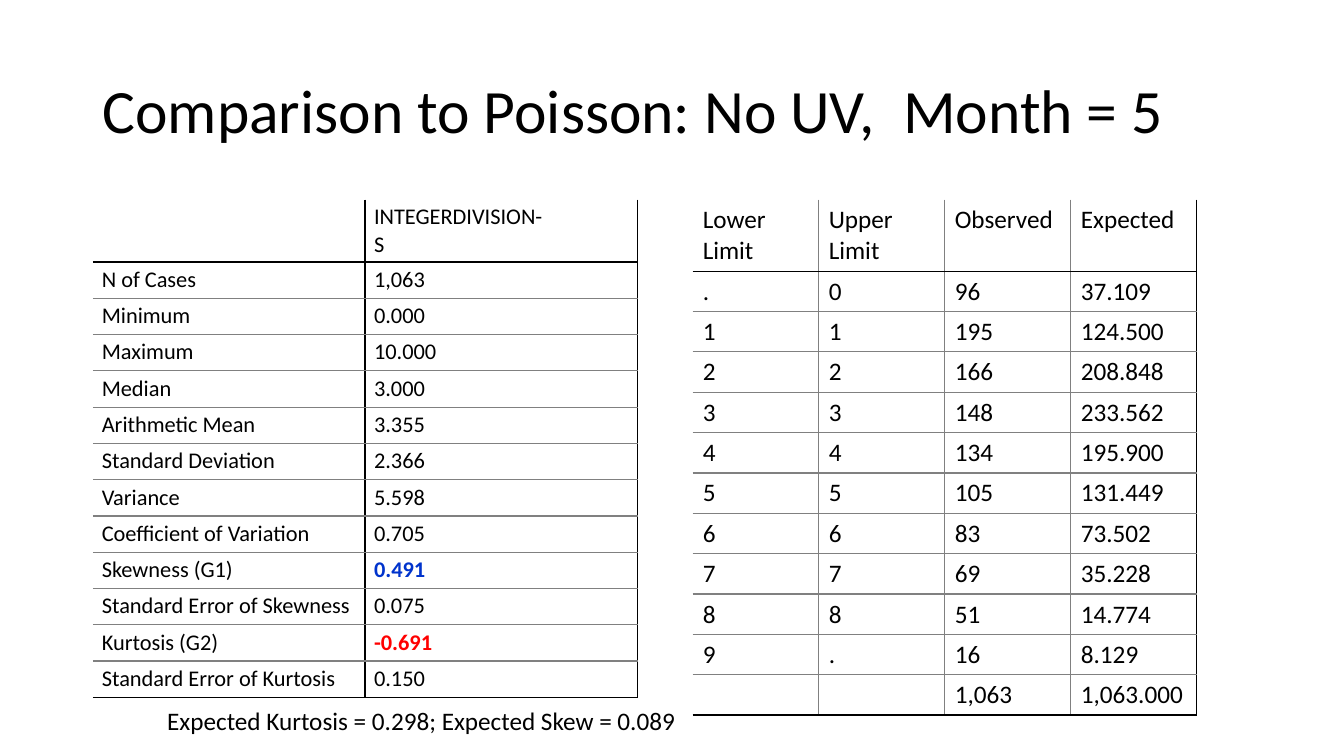
from pptx import Presentation
from pptx import util as u
from pptx.dml.color import RGBColor
from pptx.enum import text
from pptx.oxml import parse_xml
from pptx.oxml.ns import nsdecls

BLACK = RGBColor(0x00, 0x00, 0x00)
GRAY = RGBColor(0x80, 0x80, 0x80)
BLUE = RGBColor(0x00, 0x33, 0xCC)
RED = RGBColor(0xFF, 0x00, 0x00)

STATISTICS = [
    ("", "INTEGERDIVISION-\vS"),
    ("N of Cases", "1,063"),
    ("Minimum", "0.000"),
    ("Maximum", "10.000"),
    ("Median", "3.000"),
    ("Arithmetic Mean", "3.355"),
    ("Standard Deviation", "2.366"),
    ("Variance", "5.598"),
    ("Coefficient of Variation", "0.705"),
    ("Skewness (G1)", "0.491"),
    ("Standard Error of Skewness", "0.075"),
    ("Kurtosis (G2)", "-0.691"),
    ("Standard Error of Kurtosis", "0.150"),
]
HIGHLIGHTS = {"0.491": BLUE, "-0.691": RED}

FREQUENCIES = [
    ("Lower Limit", "Upper Limit", "Observed", "Expected"),
    (".", "0", "96", "37.109"),
    ("1", "1", "195", "124.500"),
    ("2", "2", "166", "208.848"),
    ("3", "3", "148", "233.562"),
    ("4", "4", "134", "195.900"),
    ("5", "5", "105", "131.449"),
    ("6", "6", "83", "73.502"),
    ("7", "7", "69", "35.228"),
    ("8", "8", "51", "14.774"),
    ("9", ".", "16", "8.129"),
    ("", "", "1,063", "1,063.000"),
]


class SlideBuilder:
    font = "Calibri"

    def __init__(self, slide):
        self.slide = slide

    def style(self, p, size, color=BLACK, bold=False):
        for font in [p.font] + [r.font for r in p.runs]:
            font.name, font.size, font.bold = self.font, u.Pt(size), bold
            font.color.rgb = color

    def textbox(self, words, left, top, width, height, size, wrap=True):
        sp = self.slide.shapes.add_textbox(
            u.Inches(left), u.Inches(top), u.Inches(width), u.Inches(height))
        tf = sp.text_frame
        tf.word_wrap = wrap
        tf.text = words
        self.style(tf.paragraphs[0], size)
        return tf

    def border(self, cell, side, color):
        """Draw one side (L, R, T or B) of a cell; None leaves it open."""
        if color is None:
            fill, width = "<a:noFill/>", 0
        else:
            fill = f'<a:solidFill><a:srgbClr val="{color}"/></a:solidFill>'
            width = u.Pt(1)
        cell._tc.get_or_add_tcPr().append(parse_xml(
            f'<a:ln{side} {nsdecls("a")} w="{width}">{fill}</a:ln{side}>'))

    def table(self, rows, left, top, col_width, head_height, row_height,
              size, inset, divider):
        """Table open at top and left, ruled black under head and at the end."""
        n, m = len(rows), len(rows[0])
        table = self.slide.shapes.add_table(
            n, m, u.Inches(left), u.Inches(top), u.Inches(m * col_width),
            u.Inches(head_height + (n - 1) * row_height)).table
        table.first_row = table.horz_banding = False
        for col in table.columns:
            col.width = u.Inches(col_width)
        verticals = [None] + [divider] * (m - 1) + [BLACK]
        horizontals = [None, BLACK] + [GRAY] * (n - 2) + [BLACK]
        for i, values in enumerate(rows):
            table.rows[i].height = u.Inches(row_height if i else head_height)
            for j, value in enumerate(values):
                cell = table.cell(i, j)
                cell.margin_left = cell.margin_right = u.Inches(inset[0])
                cell.margin_top = cell.margin_bottom = u.Inches(inset[1])
                self.border(cell, "L", verticals[j])
                self.border(cell, "R", verticals[j + 1])
                self.border(cell, "T", horizontals[i])
                self.border(cell, "B", horizontals[i + 1])
                cell.fill.background()
                cell.text_frame.text = value
                self.style(cell.text_frame.paragraphs[0], size,
                           HIGHLIGHTS.get(value, BLACK), value in HIGHLIGHTS)


def main():
    prs = Presentation()
    prs.slide_width, prs.slide_height = u.Inches(13.33), u.Inches(7.5)
    s = SlideBuilder(prs.slides.add_slide(prs.slide_layouts[6]))

    title = s.textbox("Comparison to Poisson: No UV,  Month = 5",
                      0.92, 0.4, 11.5, 1.45, 44)
    title.vertical_anchor = text.MSO_ANCHOR.MIDDLE
    title.paragraphs[0].line_spacing = 0.9

    s.table(STATISTICS, 0.92, 1.98, 2.7, 0.62, 0.36, 16, (0.09, 0.04), BLACK)
    s.table(FREQUENCIES, 6.87, 1.98, 1.25, 0.71, 0.4, 18, (0.1, 0.05), GRAY)

    note = s.textbox("Expected Kurtosis = 0.298; Expected Skew = 0.089",
                     1.56, 6.95, 5.43, 0.4, 18, wrap=False)
    note.auto_size = text.MSO_AUTO_SIZE.SHAPE_TO_FIT_TEXT

    prs.save("out.pptx")


if __name__ == "__main__":
    main()
